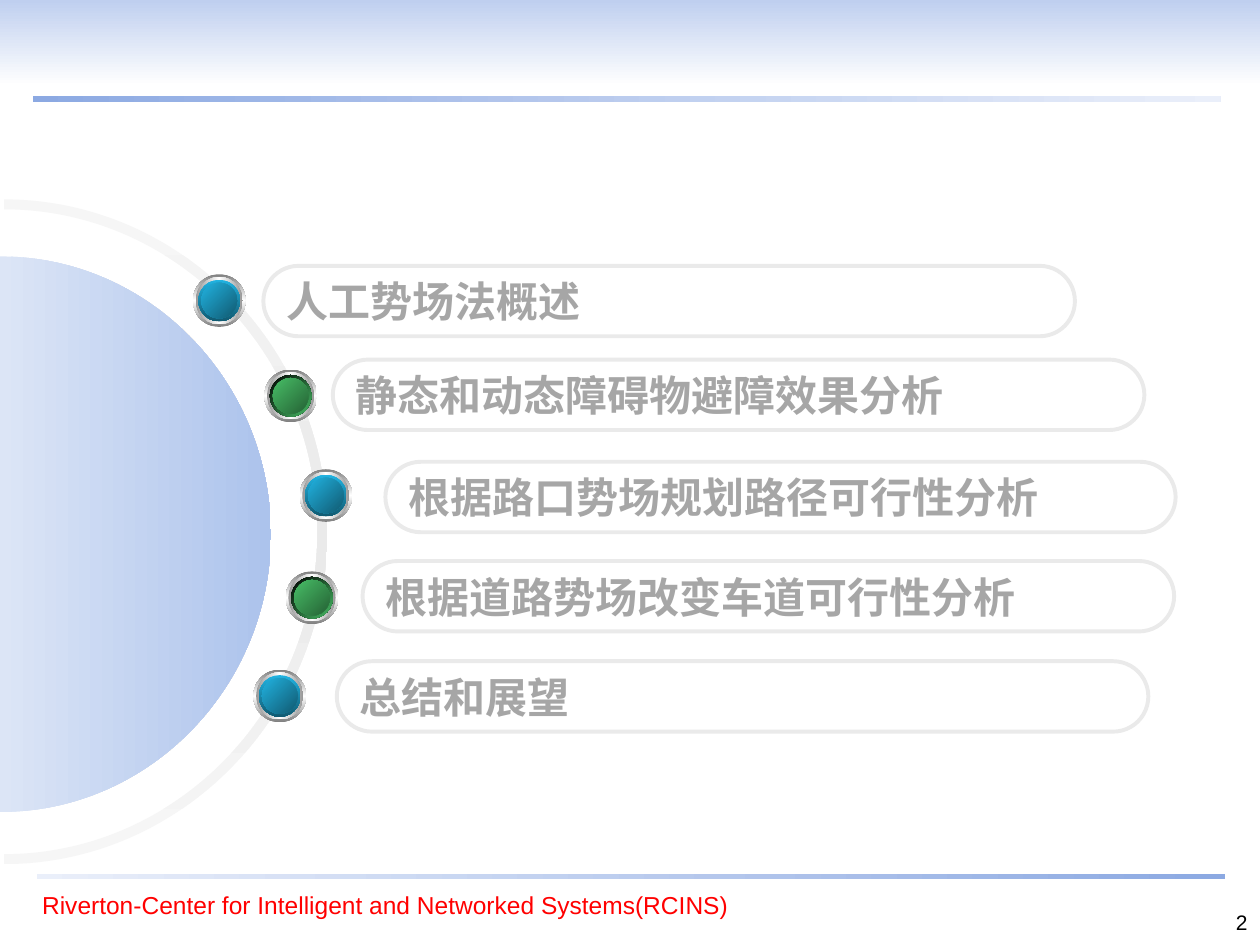
from copy import deepcopy
from dataclasses import dataclass

from lxml import etree
from pptx import Presentation
from pptx.dml.color import RGBColor
from pptx.enum.shapes import MSO_SHAPE
from pptx.enum.text import MSO_ANCHOR, PP_ALIGN
from pptx.oxml.ns import qn
from pptx.util import Cm, Pt

RECTANGLE, OVAL, PILL = MSO_SHAPE.RECTANGLE, MSO_SHAPE.OVAL, MSO_SHAPE.ROUNDED_RECTANGLE
LEFT, RIGHT = PP_ALIGN.LEFT, PP_ALIGN.RIGHT
TOP, MIDDLE = MSO_ANCHOR.TOP, MSO_ANCHOR.MIDDLE

WHITE, BLACK = RGBColor(255, 255, 255), RGBColor(0, 0, 0)
RED = RGBColor(0xFF, 0x00, 0x00)
SKY = RGBColor(0xBF, 0xCF, 0xEF)
BAR_DARK, BAR_LIGHT = RGBColor(0x8C, 0xA9, 0xE2), RGBColor(0xEA, 0xEF, 0xFA)
DISC_LIGHT, DISC_DARK = RGBColor(0xDC, 0xE5, 0xF6), RGBColor(0xAC, 0xC3, 0xEC)
RING_EDGE, PALE_GRAY = RGBColor(0xF6, 0xF6, 0xF6), RGBColor(0xEA, 0xEA, 0xEA)
RIM, INNER_RIM = RGBColor(0x80, 0x80, 0x80), RGBColor(0x98, 0x98, 0x98)
GREEN, DARK_GREEN = RGBColor(0x48, 0xBE, 0x67), RGBColor(0x25, 0x62, 0x35)
BLUE, DEEP_BLUE = RGBColor(0x21, 0xB3, 0xE1), RGBColor(0x11, 0x5A, 0x71)
TEXT_GRAY = RGBColor(0xA6, 0xA6, 0xA6)

LATIN_FONT, CHINESE_FONT = "Arial", "Noto Sans CJK SC"
BEAD_SIZE, PILL_HEIGHT = 1.06, 1.42
KAPPA = 0.55  # control point distance of a quarter ellipse
ARC_POINTS = 7


@dataclass(frozen=True)
class Gradient:
    colors: tuple
    angle: int = 0  # clockwise degrees


@dataclass(frozen=True)
class BeadLayer:
    size: float
    gradient: Gradient


@dataclass(frozen=True)
class AgendaItem:
    text: str
    left: float
    top: float
    bead_left: float
    bead_top: float
    bead_layers: tuple
    width: float = 16.36


METAL = (BeadLayer(BEAD_SIZE, Gradient((RIM, WHITE, RIM), 90)),
         BeadLayer(0.95, Gradient((INNER_RIM, WHITE, INNER_RIM))))
BLUE_BEAD = METAL + (BeadLayer(0.84, Gradient((BLUE, DEEP_BLUE), 90)),
                     BeadLayer(0.72, Gradient((BLUE, DEEP_BLUE), 45)))
GREEN_BEAD = METAL + (BeadLayer(0.84, Gradient((BLACK, GREEN), 45)),
                      BeadLayer(0.72, Gradient((GREEN, DARK_GREEN), 45)))

AGENDA = (
    AgendaItem("人工势场法概述", 5.31, 5.36, 3.89, 5.53, BLUE_BEAD),
    AgendaItem("静态和动态障碍物避障效果分析", 6.71, 7.25, 5.33, 7.45, GREEN_BEAD),
    AgendaItem("根据路口势场规划路径可行性分析", 7.77, 9.31, 6.04, 9.46, BLUE_BEAD, 15.93),
    AgendaItem("根据道路势场改变车道可行性分析", 7.31, 11.31, 5.76, 11.52, GREEN_BEAD),
    AgendaItem("总结和展望", 6.79, 13.33, 5.11, 13.5, BLUE_BEAD),
)


def paint(shape, gradient: Gradient) -> None:
    """Fill a shape with evenly spaced gradient stops, without line or shadow."""
    shape.shadow.inherit = False
    shape.line.fill.background()
    shape.fill.gradient()
    shape.fill.gradient_angle = (360 - gradient.angle) % 360
    stop_list = next(shape._element.iter(qn("a:gsLst")))
    for _ in gradient.colors[2:]:
        stop_list.append(deepcopy(stop_list[0]))
    last = len(gradient.colors) - 1
    for index, (stop, color) in enumerate(zip(shape.fill.gradient_stops, gradient.colors)):
        stop.position = index / last
        stop.color.rgb = color


def add_painted(shapes, kind, left: float, top: float, width: float, height: float,
                gradient: Gradient) -> None:
    shape = shapes.add_shape(kind, Cm(left), Cm(top), Cm(width), Cm(height))
    paint(shape, gradient)


def half_ellipse(left: float, middle: float, radius_x: float, radius_y: float) -> list:
    """Bezier points of the right half of an ellipse, from top to bottom."""
    units = ((0, -1), (KAPPA, -1), (1, -KAPPA), (1, 0), (1, KAPPA), (KAPPA, 1), (0, 1))
    return [(Cm(left + x * radius_x), Cm(middle + y * radius_y)) for x, y in units]


def add_curved_outline(page, arcs: list, gradient: Gradient) -> None:
    """Join the arcs by straight lines and turn each arc's segments into two curves."""
    points = [point for arc in arcs for point in arc]
    builder = page.shapes.build_freeform(*points[0])
    builder.add_line_segments(points[1:], close=True)
    shape = builder.convert_to_shape()
    segments = list(shape._element.iter(qn("a:lnTo")))
    for index in range(len(arcs)):
        for first in (ARC_POINTS * index, ARC_POINTS * index + 3):
            curve = etree.Element(qn("a:cubicBezTo"))
            segments[first].addprevious(curve)
            for segment in segments[first:first + 3]:
                curve.append(segment[0])
                segment.getparent().remove(segment)
    paint(shape, gradient)


def write(box, text: str, *, size: float, color: RGBColor, font: str = LATIN_FONT,
          bold: bool = False, align=LEFT, anchor=TOP, wrap: bool = True) -> None:
    frame = box.text_frame
    frame.word_wrap = wrap
    frame.vertical_anchor = anchor
    para = frame.paragraphs[0]
    para.alignment = align
    span = para.add_run()
    span.text = text
    span.font.size = Pt(size)
    span.font.bold = bold
    span.font.color.rgb = color
    span.font.name = font
    etree.SubElement(span._r.get_or_add_rPr(), qn("a:ea"), typeface=font)


def add_bead(page, item: AgendaItem) -> None:
    group = page.shapes.add_group_shape()
    for layer in item.bead_layers:
        inset = (BEAD_SIZE - layer.size) / 2
        add_painted(group.shapes, OVAL, item.bead_left + inset, item.bead_top + inset,
                    layer.size, layer.size, layer.gradient)


def add_pill(page, item: AgendaItem) -> None:
    pill = page.shapes.add_shape(PILL, Cm(item.left), Cm(item.top),
                                 Cm(item.width), Cm(PILL_HEIGHT))
    pill.adjustments[0] = 0.5
    pill.shadow.inherit = False
    pill.fill.background()
    pill.line.color.rgb = PALE_GRAY
    pill.line.width = Pt(2.25)
    write(pill, item.text, size=24, color=TEXT_GRAY, font=CHINESE_FONT, bold=True,
          anchor=MIDDLE, wrap=False)


def main() -> None:
    deck = Presentation()
    deck.slide_width, deck.slide_height = Cm(25.4), Cm(19.05)
    page = deck.slides.add_slide(deck.slide_layouts[6])

    add_painted(page.shapes, RECTANGLE, 0, 0, 25.4, 1.73, Gradient((SKY, WHITE), 90))
    add_painted(page.shapes, RECTANGLE, 0.66, 1.94, 23.95, 0.12,
                Gradient((BAR_DARK, BAR_LIGHT)))
    add_painted(page.shapes, RECTANGLE, 0.75, 17.61, 23.95, 0.12,
                Gradient((BAR_LIGHT, BAR_DARK)))
    footer = page.shapes.add_textbox(Cm(0.6), Cm(17.81), Cm(15.11), Cm(0.86))
    write(footer, "Riverton-Center for Intelligent and Networked Systems(RCINS)",
          size=14, color=RED)

    outer = half_ellipse(0.08, 10.72, 6.52, 6.7)
    inner = half_ellipse(0.08, 10.72, 6.32, 6.5)
    add_curved_outline(page, [outer, inner[::-1]],
                       Gradient((RING_EDGE, PALE_GRAY, RING_EDGE), 90))
    add_curved_outline(page, [half_ellipse(0, 10.77, 5.46, 5.6)],
                       Gradient((DISC_LIGHT, DISC_DARK)))

    number = page.shapes.add_textbox(Cm(20.12), Cm(18.21), Cm(5.28), Cm(0.84))
    write(number, "2", size=12, color=BLACK, align=RIGHT)

    for item in AGENDA:
        add_pill(page, item)
        add_bead(page, item)

    deck.save("out.pptx")


if __name__ == "__main__":
    main()
